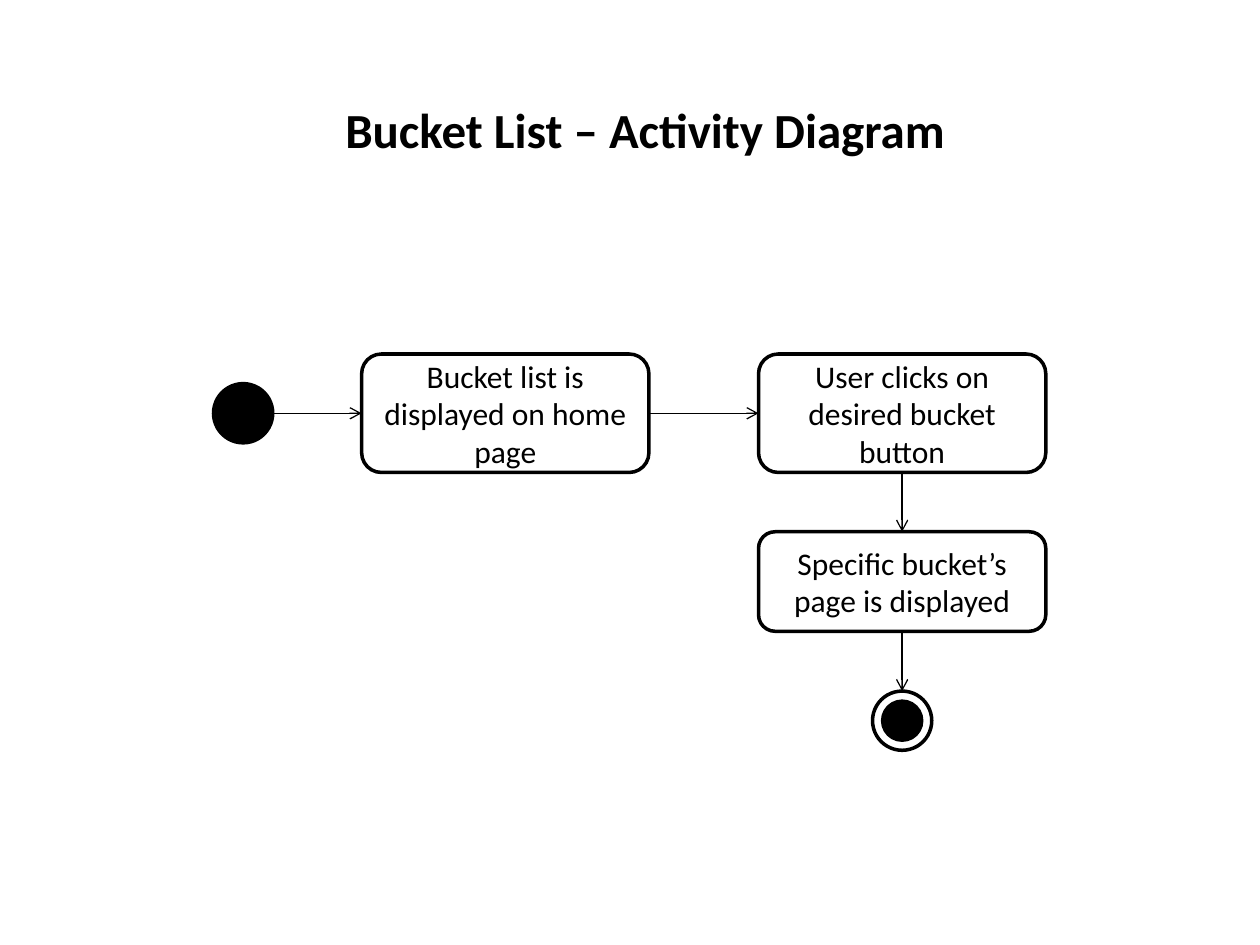
from lxml.etree import SubElement
from pptx import Presentation
from pptx.dml.color import RGBColor
from pptx.enum.shapes import MSO_CONNECTOR, MSO_SHAPE
from pptx.enum.text import MSO_ANCHOR, MSO_AUTO_SIZE, PP_ALIGN
from pptx.oxml.ns import qn
from pptx.util import Inches, Pt

BLACK = RGBColor(0, 0, 0)
WHITE = RGBColor(255, 255, 255)
TOP, LEFT, BOTTOM, RIGHT = range(4)

TITLE = "Bucket List – Activity Diagram"
TITLE_FRAME = (2.64, 0.74, 5.02, 0.57)
ACTION_WIDTH = 2.28
FLOW_Y = 3.28
END_X, END_Y = 7.16, 5.72
# name: (text, left, top, height)
ACTIONS = {
    "list": ("Bucket list is displayed on home page", 2.87, 2.81, 0.94),
    "click": ("User clicks on desired bucket button", 6.02, 2.81, 0.94),
    "page": ("Specific bucket’s page is displayed", 6.02, 4.22, 0.79),
}
# name: (centre x, centre y, diameter, fill)
NODES = {
    "start": (1.93, FLOW_Y, 0.47, BLACK),
    "end": (END_X, END_Y, 0.47, WHITE),
    "end core": (END_X, END_Y, 0.31, BLACK),
}
# (source, side, target, side)
FLOWS = [
    ("list", RIGHT, "click", LEFT),
    ("click", BOTTOM, "page", TOP),
    ("page", BOTTOM, "end", TOP),
]


def write(box, text, size, align, bold=False):
    """Put one formatted paragraph in a box."""
    para = box.text_frame.paragraphs[0]
    para.alignment = align
    span = para.add_run()
    span.text = text
    settings = {"name": "Calibri", "size": Pt(size), "bold": bold}
    for name, value in settings.items():
        setattr(span.font, name, value)
    span.font.color.rgb = BLACK


def add_outlined(page, kind, frame, fill):
    """Add a filled shape with a black outline."""
    box = page.shapes.add_shape(kind, *map(Inches, frame))
    box.shadow.inherit = False
    box.fill.solid()
    box.fill.fore_color.rgb = fill
    box.line.color.rgb = BLACK
    box.line.width = Pt(2)
    return box


def add_arrow(page, target, side):
    """Add an open arrow that ends on one side of the target."""
    arrow = page.shapes.add_connector(MSO_CONNECTOR.STRAIGHT, 0, 0, 0, 0)
    arrow.line.color.rgb = BLACK
    arrow.line.width = Pt(0.75)
    SubElement(arrow.line._get_or_add_ln(), qn("a:tailEnd"), type="arrow")
    SubElement(arrow._element.spPr, qn("a:effectLst"))
    arrow.end_connect(target, side)
    return arrow


deck = Presentation()
deck.slide_width, deck.slide_height = Inches(10), Inches(7.5)
page = deck.slides.add_slide(deck.slide_layouts[5])

title = page.shapes.title
title.left, title.top, title.width, title.height = map(Inches, TITLE_FRAME)
frame_format = {
    "word_wrap": False,
    "auto_size": MSO_AUTO_SIZE.SHAPE_TO_FIT_TEXT,
    "vertical_anchor": MSO_ANCHOR.TOP,
}
for name, value in frame_format.items():
    setattr(title.text_frame, name, value)
write(title, TITLE, 28, PP_ALIGN.LEFT, bold=True)

steps = {}
for name, (text, left, top, height) in ACTIONS.items():
    frame = (left, top, ACTION_WIDTH, height)
    steps[name] = add_outlined(page, MSO_SHAPE.FLOWCHART_ALTERNATE_PROCESS, frame, WHITE)
    steps[name].text_frame.vertical_anchor = MSO_ANCHOR.MIDDLE
    write(steps[name], text, 18, PP_ALIGN.CENTER)

for name, (x, y, size, fill) in NODES.items():
    frame = (x - size / 2, y - size / 2, size, size)
    steps[name] = add_outlined(page, MSO_SHAPE.OVAL, frame, fill)

for source, source_side, target, target_side in FLOWS:
    arrow = add_arrow(page, steps[target], target_side)
    arrow.begin_connect(steps[source], source_side)

start = steps["start"]
first = add_arrow(page, steps["list"], LEFT)
first.begin_x, first.begin_y = start.left + start.width, Inches(FLOW_Y)

deck.save("out.pptx")
